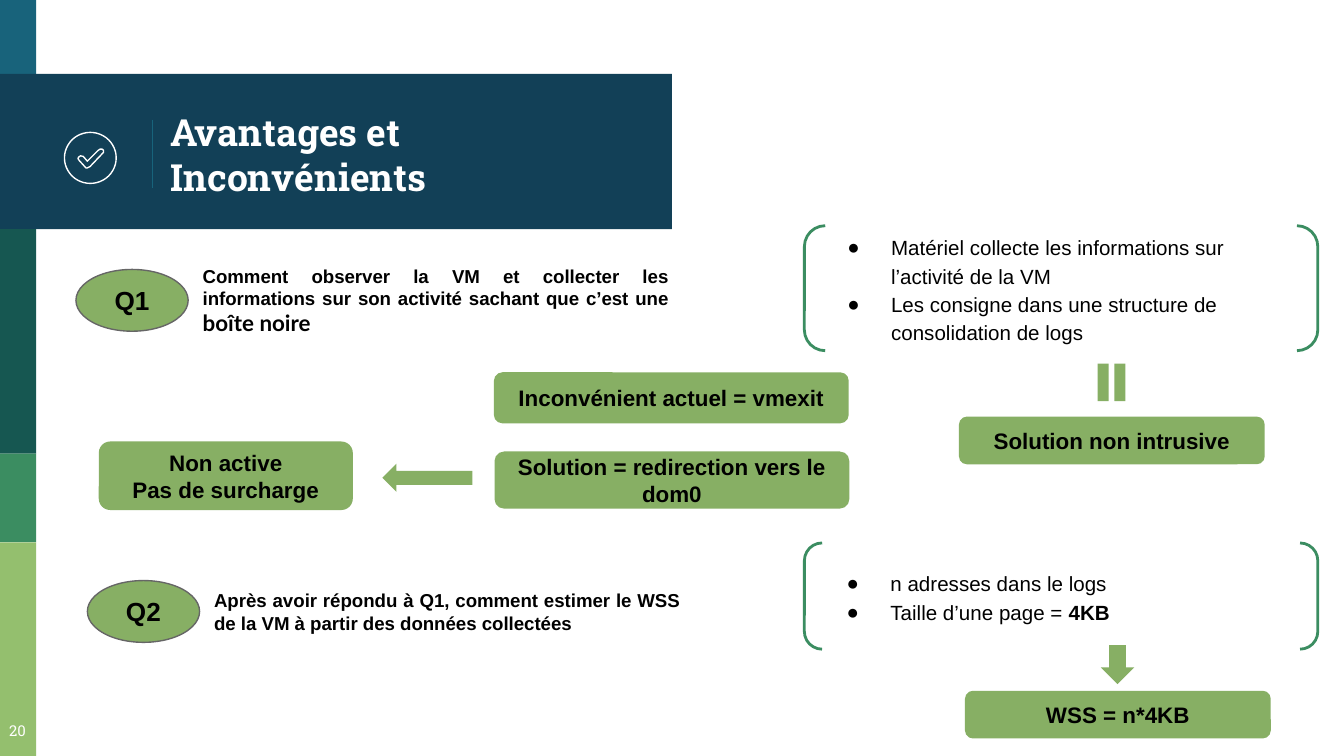
from dataclasses import dataclass
from typing import NamedTuple

from lxml.etree import SubElement
from pptx import Presentation
from pptx.dml.color import RGBColor
from pptx.enum.shapes import MSO_CONNECTOR, MSO_SHAPE
from pptx.enum.text import MSO_ANCHOR, MSO_AUTO_SIZE, PP_ALIGN
from pptx.oxml.ns import qn
from pptx.util import Emu, Pt

SCALE = 4572
WHITE = RGBColor(0xFF, 0xFF, 0xFF)
BLACK = RGBColor(0x00, 0x00, 0x00)
GREY = RGBColor(0x66, 0x66, 0x66)
BLUE = RGBColor(0x18, 0x63, 0x7B)
NAVY = RGBColor(0x12, 0x40, 0x57)
PINE = RGBColor(0x16, 0x57, 0x51)
GREEN = RGBColor(0x3B, 0x8D, 0x61)
LIME = RGBColor(0x94, 0xBF, 0x6E)
LEAF = RGBColor(0x87, 0xAF, 0x64)


class Box(NamedTuple):
    left: int
    top: int
    width: int
    height: int


@dataclass(frozen=True)
class Run:
    text: str
    size: int = 12
    bold: bool = True
    face: str = "Arial"
    color: RGBColor = BLACK


@dataclass(frozen=True)
class Band:
    box: Box
    fill: RGBColor


@dataclass(frozen=True)
class Card:
    box: Box
    lines: tuple[str, ...]


@dataclass(frozen=True)
class Query:
    oval: Box
    label: str
    runs: tuple[Run, ...]


@dataclass(frozen=True)
class Points:
    frame: Box
    inset: int
    items: tuple[tuple[Run, ...], ...]


@dataclass(frozen=True)
class Sign:
    kind: MSO_SHAPE
    box: Box
    turn: int
    adjust: tuple[float, float] = (0.5, 0.5)


BANDS = (
    Band(Box(0, 0, 54, 116), BLUE),
    Band(Box(0, 110, 1000, 231), NAVY),
    Band(Box(0, 341, 54, 334), PINE),
    Band(Box(0, 675, 54, 132), GREEN),
    Band(Box(0, 807, 54, 318), LIME),
)
CARDS = (
    Card(Box(1427, 620, 455, 71), ("Solution non intrusive",)),
    Card(Box(1436, 1028, 455, 71), ("WSS = n*4KB",)),
    Card(Box(735, 554, 528, 76), ("Inconvénient actuel = vmexit",)),
    Card(Box(736, 672, 528, 85), ("Solution = redirection vers le dom0",)),
    Card(Box(147, 657, 378, 102), ("Non active", "Pas de surcharge")),
)
ASKS = (
    Query(Box(113, 401, 167, 92), "Q1", (
        Run("Comment observer la VM et collecter les informations "
            "sur son activité sachant que c’est une ", 10),
        Run("boîte noire", 12, face="Lato"),
    )),
    Query(Box(130, 864, 167, 92), "Q2", (
        Run("Après avoir répondu à Q1, comment estimer le WSS "
            "de la VM à partir des données collectées", 10),
    )),
)
LISTS = (
    Points(Box(1197, 336, 764, 186), 9, (
        (Run("Matériel collecte les informations sur l’activité de la VM", 11, False),),
        (Run("Les consigne dans une structure de consolidation de logs", 11, False),),
    )),
    Points(Box(1197, 808, 764, 158), 8, (
        (Run("n adresses dans le logs", 11, False),),
        (Run("Taille d’une page = ", 11, False), Run("4KB", 11)),
    )),
)
SIGNS = (
    Sign(MSO_SHAPE.MATH_EQUAL, Box(1616, 534, 76, 70), 90, (0.235, 0.118)),
    Sign(MSO_SHAPE.RIGHT_ARROW, Box(1634, 964, 58, 50), 90),
    Sign(MSO_SHAPE.RIGHT_ARROW, Box(569, 690, 134, 42), 180),
)
TICK = (
    (128, 250), (130, 250), (134, 248), (152, 229), (154, 227), (154, 224), (152, 222),
    (149, 222), (146, 224), (130, 240), (124, 233), (120, 232), (117, 234), (116, 236),
    (118, 239),
)


def px(count: int) -> Emu:
    return Emu(count * SCALE)


def place(shape, box: Box) -> None:
    shape.left, shape.top, shape.width, shape.height = map(px, box)


def paint(shape, fill: RGBColor | None, edge: RGBColor | None = None, weight: float = 0.75) -> None:
    shape.shadow.inherit = False
    if fill is None:
        shape.fill.background()
    else:
        shape.fill.solid()
        shape.fill.fore_color.rgb = fill
    if edge is None:
        shape.line.fill.background()
    else:
        shape.line.color.rgb = edge
        shape.line.width = Pt(weight)


def draw(slide, kind: MSO_SHAPE, box: Box, fill: RGBColor | None,
         edge: RGBColor | None = None, weight: float = 0.75):
    shape = slide.shapes.add_shape(kind, *map(px, box))
    paint(shape, fill, edge, weight)
    return shape


def write(shape, lines: tuple[tuple[Run, ...], ...], align: PP_ALIGN,
          anchor: MSO_ANCHOR = MSO_ANCHOR.MIDDLE, inset: int = 20) -> list:
    frame = shape.text_frame
    frame.word_wrap = True
    frame.auto_size = MSO_AUTO_SIZE.NONE
    frame.vertical_anchor = anchor
    frame.margin_left = frame.margin_right = px(inset)
    frame.margin_top = frame.margin_bottom = px(inset)
    for spot, runs in enumerate(lines):
        para = frame.add_paragraph() if spot else frame.paragraphs[0]
        para.alignment = align
        for item in runs:
            run = para.add_run()
            run.text = item.text
            font = run.font
            font.name, font.size, font.bold = item.face, Pt(item.size), item.bold
            font.color.rgb = item.color
    return list(frame.paragraphs)


def bullet(para) -> None:
    props = para._p.get_or_add_pPr()
    props.set("marL", str(px(100)))
    props.set("indent", str(px(-65)))
    tint = SubElement(props, qn("a:buClr"))
    SubElement(tint, qn("a:srgbClr"), val=str(BLACK))
    SubElement(props, qn("a:buFont"), typeface="Arial")
    SubElement(props, qn("a:buChar"), char="●")
    para.line_spacing = 1.15
    para.space_before = Pt(0)


def head(slide) -> None:
    rule = slide.shapes.add_connector(MSO_CONNECTOR.STRAIGHT, px(227), px(178), px(227), px(280))
    rule.line.color.rgb = BLUE
    rule.line.width = Pt(0.75)
    SubElement(rule._element.spPr, qn("a:effectLst"))
    title = slide.shapes.title
    place(title, Box(234, 117, 764, 224))
    text = Run("Avantages et Inconvénients", 20, face="Roboto Slab", color=WHITE)
    write(title, ((text,),), PP_ALIGN.LEFT)[0].line_spacing = 1.0
    draw(slide, MSO_SHAPE.OVAL, Box(96, 197, 77, 76), None, WHITE)
    pen = slide.shapes.build_freeform(*TICK[0], scale=SCALE)
    pen.add_line_segments(TICK[1:], close=True)
    paint(pen.convert_to_shape(), None, WHITE)


def ask(slide, query: Query) -> None:
    oval = draw(slide, MSO_SHAPE.OVAL, query.oval, LEAF, GREY)
    write(oval, ((Run(query.label, 14),),), PP_ALIGN.CENTER, inset=0)
    left, top, width, _ = query.oval
    note = slide.shapes.add_textbox(*map(px, Box(left + width + 2, top - 9, 732, 110)))
    write(note, (query.runs,), PP_ALIGN.JUSTIFY)


def fill_list(slide, body, points: Points) -> None:
    draw(slide, MSO_SHAPE.DOUBLE_BRACKET, points.frame, None, GREEN, 1.5)
    left, top, width, height = points.frame
    place(body, Box(left + points.inset, top, width - 2 * points.inset, height))
    for para in write(body, points.items, PP_ALIGN.LEFT):
        bullet(para)


def main() -> None:
    """Build the slide on advantages and drawbacks."""
    deck = Presentation()
    deck.slide_width, deck.slide_height = px(2000), px(1125)
    slide = deck.slides.add_slide(deck.slide_layouts[3])
    for spot, band in enumerate(BANDS):
        shape = draw(slide, MSO_SHAPE.RECTANGLE, band.box, band.fill)
        slide.shapes._spTree.insert(2 + spot, shape._element)
    head(slide)
    page = slide.shapes.add_textbox(*map(px, Box(-12, 1054, 76, 70)))
    label = Run("20", 8, False, "Roboto Slab", WHITE)
    write(page, ((label,),), PP_ALIGN.CENTER, MSO_ANCHOR.TOP)
    for query in ASKS:
        ask(slide, query)
    for key, points in enumerate(LISTS, 1):
        fill_list(slide, slide.placeholders[key], points)
    for sign in SIGNS:
        shape = draw(slide, sign.kind, sign.box, LEAF)
        shape.rotation = sign.turn
        shape.adjustments[0], shape.adjustments[1] = sign.adjust
    for card in CARDS:
        shape = draw(slide, MSO_SHAPE.ROUNDED_RECTANGLE, card.box, LEAF)
        write(shape, tuple((Run(line),) for line in card.lines), PP_ALIGN.CENTER)
    deck.save("out.pptx")


if __name__ == "__main__":
    main()
